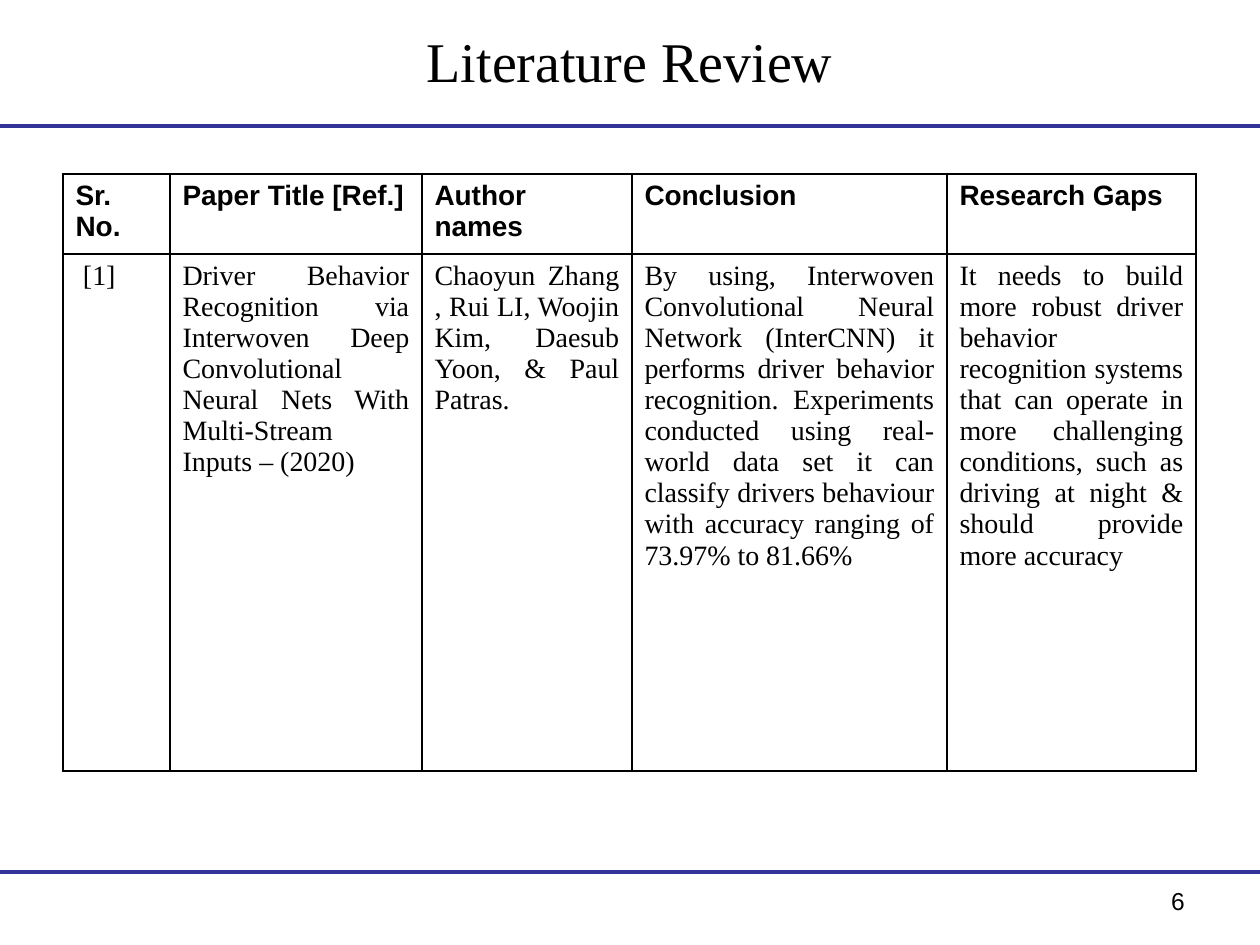
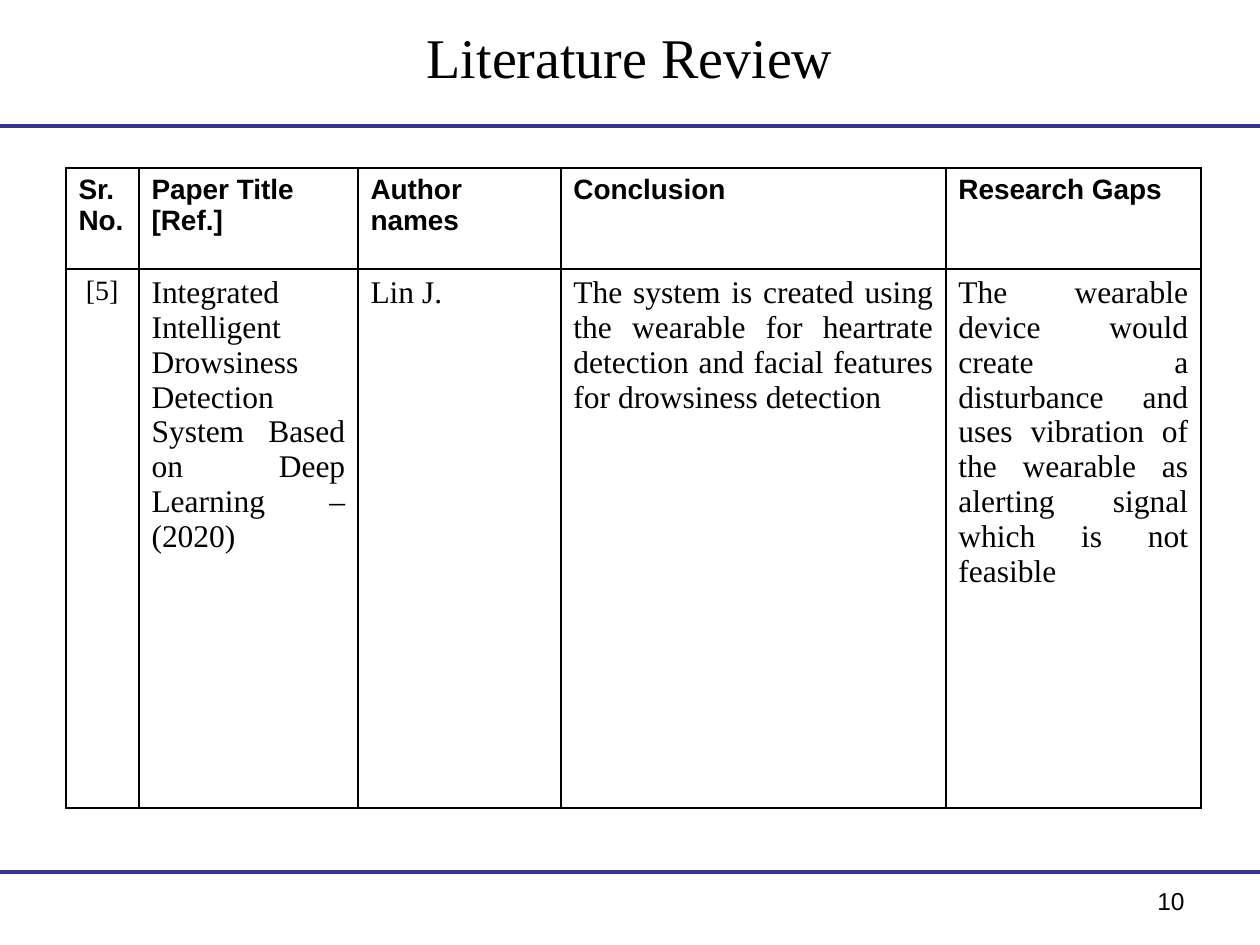
"""Build two literature review slides, each with a table of one paper."""
import dataclasses
import typing

import lxml.etree
import pptx
import pptx.dml.color
import pptx.enum.shapes
import pptx.enum.text
import pptx.oxml.ns
import pptx.util

SCALE = 914400 / 126
WIDE, HIGH = 1260, 945
RULES = (126, 872)
SANS, SERIF = "Arial", "Times New Roman"
HUES = {"text": "000000", "rule": "333399", "edge": "000000", "fill": "FFFFFF"}
HEADS = ("Sr. No.", "Paper Title [Ref.]", "Author names", "Conclusion", "Research Gaps")
ALIGN = pptx.enum.text.PP_ALIGN
ANCHOR = pptx.enum.text.MSO_ANCHOR


@dataclasses.dataclass(frozen=True)
class Style:
    size: int
    font: str
    bold: bool = False
    align: typing.Any = ALIGN.LEFT


@dataclasses.dataclass(frozen=True)
class Page:
    number: int
    anchor: typing.Any
    left: int
    top: int
    cols: tuple[int, ...]
    rows: tuple[int, int]
    size: int
    paper: tuple[str, ...]


TITLE = Style(32, SERIF, align=ALIGN.CENTER)
FOOT = Style(14, SANS, align=ALIGN.RIGHT)
HEAD = Style(16, SANS, bold=True)
INDEX = Style(16, SERIF)

PAGES = (
    Page(6, ANCHOR.MIDDLE, 63, 174, (107, 252, 210, 315, 249), (79, 517), 16, (
        "[1]",
        "Driver Behavior Recognition via Interwoven Deep Convolutional Neural Nets "
        "With Multi-Stream Inputs – (2020)",
        "Chaoyun Zhang , Rui LI, Woojin Kim, Daesub Yoon, & Paul Patras.",
        "By using, Interwoven Convolutional Neural Network (InterCNN) it performs "
        "driver behavior recognition. Experiments conducted using real-world data set "
        "it can classify drivers behaviour with accuracy ranging of 73.97% to 81.66%",
        "It needs to build more robust driver behavior recognition systems that can "
        "operate in more challenging conditions, such as driving at night & should "
        "provide more accuracy",
    )),
    Page(10, ANCHOR.TOP, 66, 168, (73, 219, 203, 385, 255), (101, 539), 18, (
        "[5]",
        "Integrated Intelligent Drowsiness Detection System Based on Deep Learning – (2020)",
        "Lin J.",
        "The system is created using the wearable for heartrate detection and facial "
        "features for drowsiness detection",
        "The wearable device would create a disturbance and uses vibration of the "
        "wearable as alerting signal which is not feasible",
    )),
)


def px(count: int) -> pptx.util.Emu:
    """Turn pixels into EMU."""
    return pptx.util.Emu(round(count * SCALE))


def hue(name: str) -> pptx.dml.color.RGBColor:
    """Look up a colour."""
    return pptx.dml.color.RGBColor.from_string(HUES[name])


def write(frame: typing.Any, text: str, style: Style) -> None:
    """Fill a text frame with one styled paragraph."""
    frame.text = text
    frame.word_wrap = True
    para = frame.paragraphs[0]
    para.alignment = style.align
    for run in para.runs:
        run.font.size = pptx.util.Pt(style.size)
        run.font.name = style.font
        run.font.bold = style.bold
        run.font.color.rgb = hue("text")


def label(slide: typing.Any, box: tuple[int, int, int, int], text: str,
          style: Style, anchor: typing.Any = ANCHOR.TOP) -> None:
    """Add a text box."""
    frame = slide.shapes.add_textbox(*map(px, box)).text_frame
    write(frame, text, style)
    frame.vertical_anchor = anchor


def rule(slide: typing.Any, top: int) -> None:
    """Draw a line across the slide."""
    line = slide.shapes.add_connector(
        pptx.enum.shapes.MSO_CONNECTOR.STRAIGHT, px(0), px(top), px(WIDE), px(top))
    line.line.color.rgb = hue("rule")
    line.line.width = pptx.util.Pt(2.25)
    lxml.etree.SubElement(line.element.spPr, pptx.oxml.ns.qn("a:effectLst"))


def edge(cell: typing.Any) -> None:
    """Border a cell on all four sides."""
    props = cell._tc.get_or_add_tcPr()
    for side in ("a:lnL", "a:lnR", "a:lnT", "a:lnB"):
        line = lxml.etree.SubElement(
            props, pptx.oxml.ns.qn(side), w=str(pptx.util.Pt(1)))
        fill = lxml.etree.SubElement(line, pptx.oxml.ns.qn("a:solidFill"))
        lxml.etree.SubElement(fill, pptx.oxml.ns.qn("a:srgbClr"), val=HUES["edge"])


def grid(slide: typing.Any, page: Page) -> None:
    """Add the table of the reviewed paper."""
    table = slide.shapes.add_table(
        2, len(HEADS), px(page.left), px(page.top),
        px(sum(page.cols)), px(sum(page.rows))).table
    table.first_row = table.horz_banding = False
    for col, width in zip(table.columns, page.cols):
        col.width = px(width)
    for row, height in zip(table.rows, page.rows):
        row.height = px(height)
    body = Style(page.size, SERIF, align=ALIGN.JUSTIFY)
    styles = ([HEAD] * len(HEADS), [INDEX] + [body] * (len(HEADS) - 1))
    for row, texts, looks in zip(table.rows, (HEADS, page.paper), styles):
        for cell, text, style in zip(row.cells, texts, looks):
            write(cell.text_frame, text, style)
            edge(cell)
            cell.fill.solid()
            cell.fill.fore_color.rgb = hue("fill")
    table.cell(1, 0).margin_left = px(20)


def draw(deck: typing.Any, page: Page) -> None:
    """Add one review slide."""
    slide = deck.slides.add_slide(deck.slide_layouts[6])
    for top in RULES:
        rule(slide, top)
    label(slide, (63, 16, 1134, 88), "Literature Review", TITLE, page.anchor)
    label(slide, (903, 880, 294, 65), str(page.number), FOOT)
    grid(slide, page)


def main() -> None:
    """Build and save the deck."""
    deck = pptx.Presentation()
    deck.slide_width, deck.slide_height = px(WIDE), px(HIGH)
    for page in PAGES:
        draw(deck, page)
    deck.save("out.pptx")


if __name__ == "__main__":
    main()
